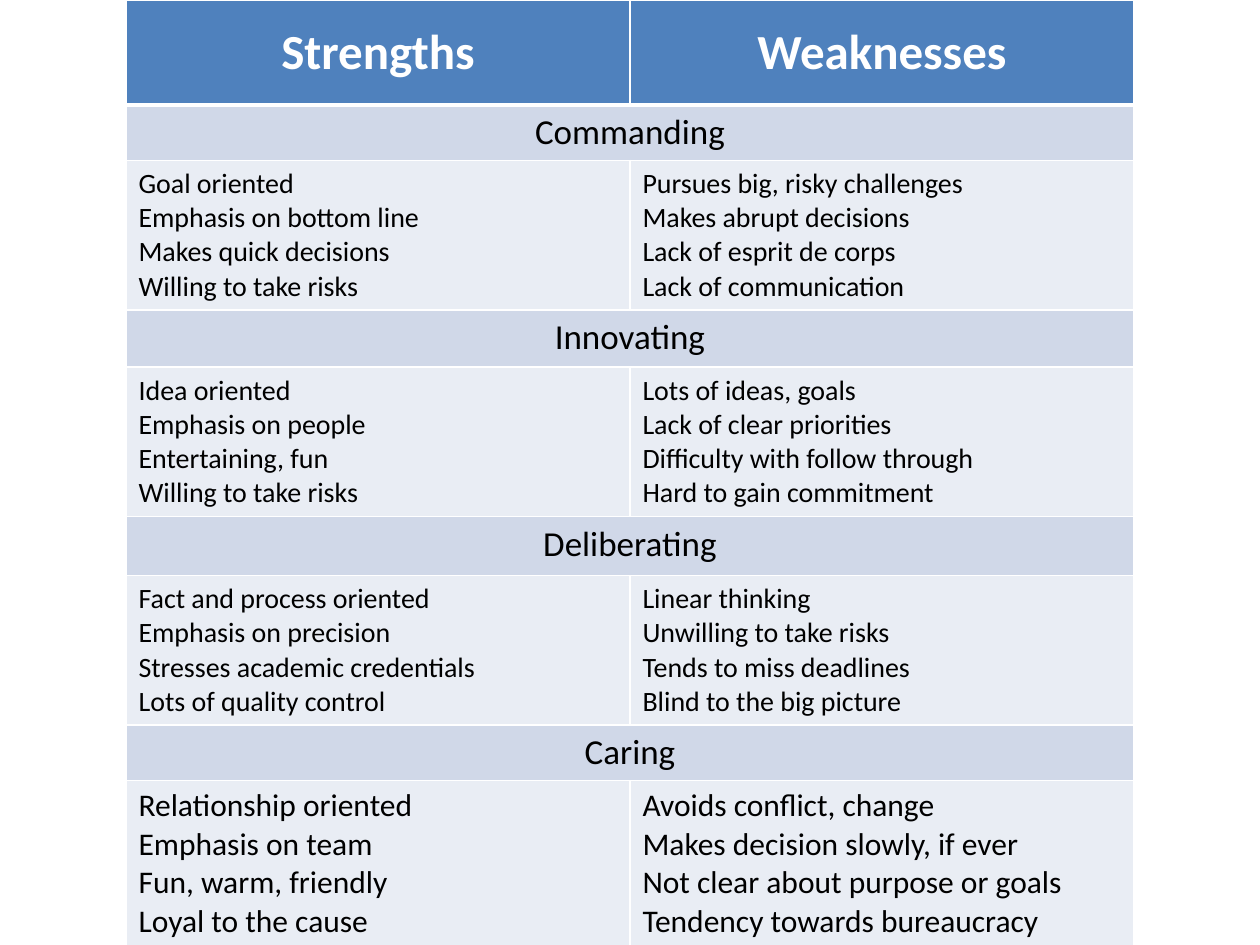
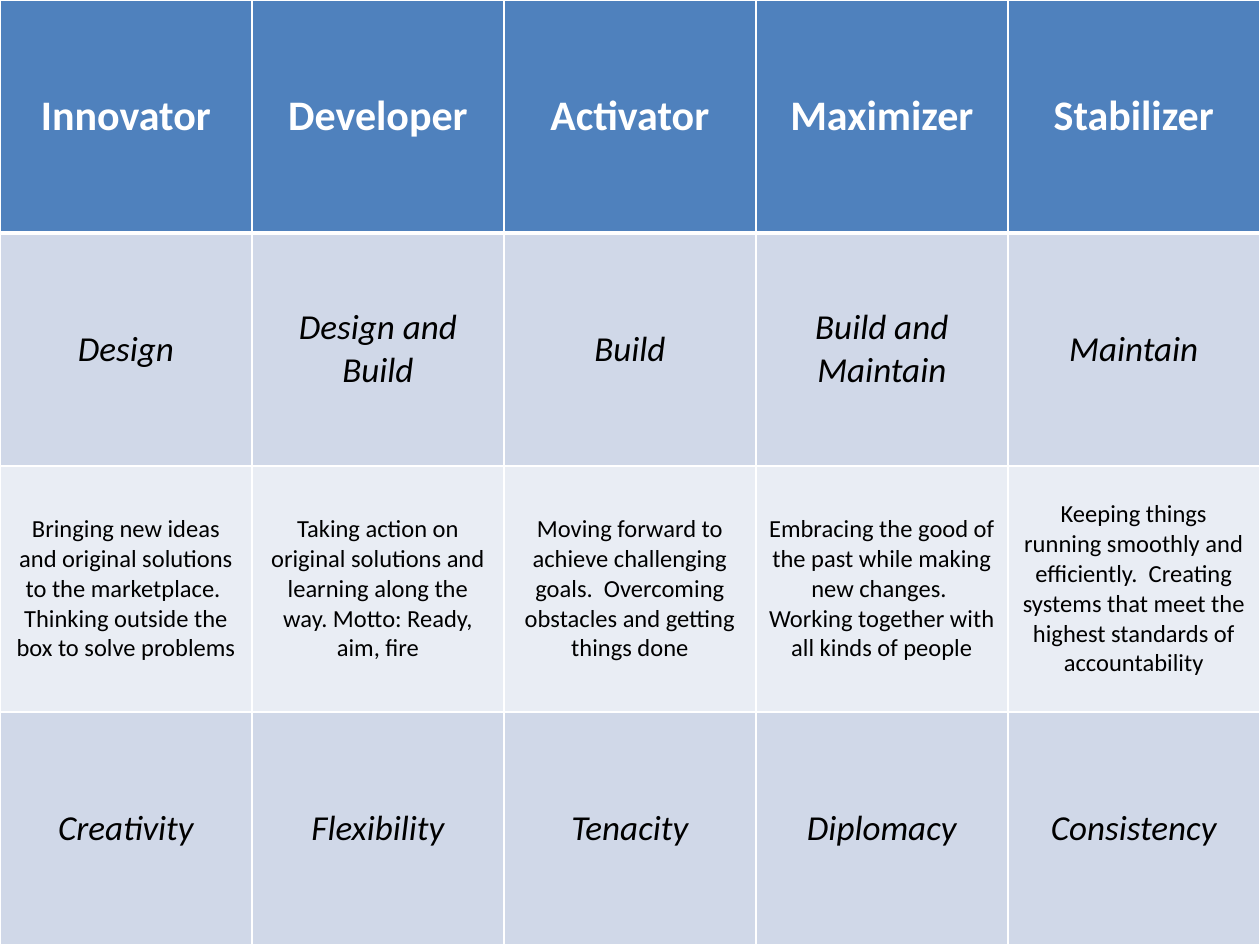
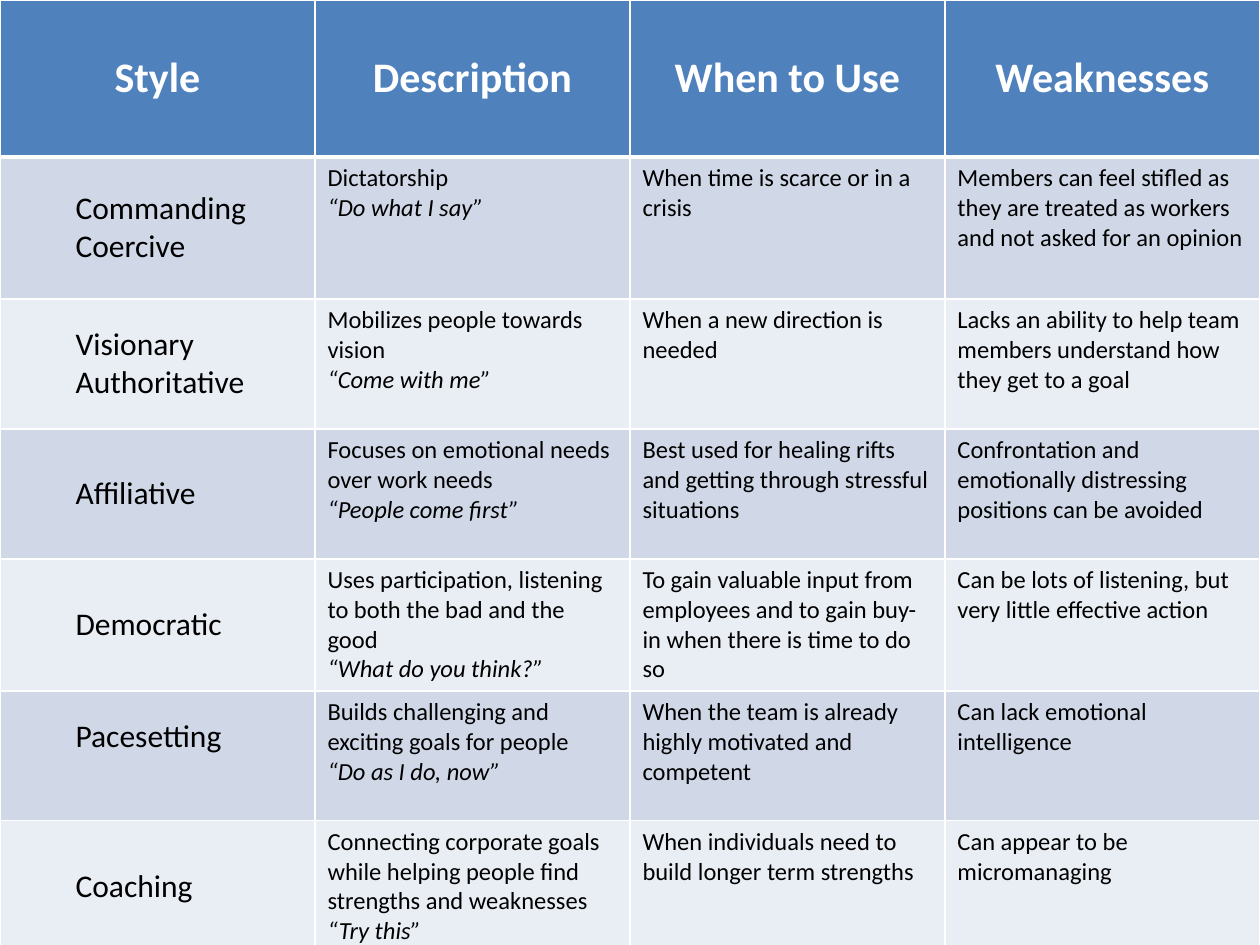
from dataclasses import dataclass, replace

from lxml import etree
from pptx import Presentation
from pptx.dml.color import RGBColor
from pptx.enum.text import MSO_ANCHOR, PP_ALIGN
from pptx.oxml.ns import qn
from pptx.util import Pt

EMU_PER_PX = 914400 // 126
SLIDE_W, SLIDE_H = 1260, 945

WHITE = RGBColor(0xFF, 0xFF, 0xFF)
BLACK = RGBColor(0x00, 0x00, 0x00)
HEADER_BLUE = RGBColor(0x4F, 0x81, 0xBD)
BAND_DARK = RGBColor(0xD0, 0xD8, 0xE8)
BAND_LIGHT = RGBColor(0xE9, 0xED, 0xF4)
FONT = "Calibri"


def px(length):
    """Turn pixels into EMU."""
    return length * EMU_PER_PX


@dataclass(frozen=True)
class CellStyle:
    """Text format of a table cell."""
    size: int
    color: RGBColor = BLACK
    bold: bool = False
    italic: bool = False
    centred: bool = False
    middle: bool = False
    indent: int = 0
    last_italic: bool = False
    lift: int = 0


BODY = CellStyle(14)
QUOTED = replace(BODY, last_italic=True)
CENTRED_BODY = replace(BODY, centred=True, middle=True)
KEYWORD = replace(CENTRED_BODY, size=20, italic=True)
SECTION = CellStyle(20, centred=True)
STYLE_NAME = CellStyle(18, middle=True, indent=63)


class Deck:
    """Holds the presentation, its current slide and the table look."""

    def __init__(self):
        """Start an empty deck of the right size."""
        self.prs = Presentation()
        self.prs.slide_width, self.prs.slide_height = px(SLIDE_W), px(SLIDE_H)
        self.slide = None

    def new_slide(self):
        """Add a slide without a title."""
        self.slide = self.prs.slides.add_slide(self.prs.slide_layouts[6])

    def table(self, left, width, height, columns, rows):
        """Add a table of equal columns and the given row heights."""
        frame = self.slide.shapes.add_table(
            len(rows), columns, px(left), 0, px(width), px(height))
        for column in frame.table.columns:
            column.width = px(width // columns)
        for row, row_height in zip(frame.table.rows, rows):
            row.height = px(row_height)
        frame.height = px(height)
        return frame.table

    def borders(self, cell, **widths):
        """Draw white cell borders; sides are L, R, T, B in points."""
        properties = cell._tc.get_or_add_tcPr()
        for side, points in widths.items():
            line = etree.SubElement(properties, qn("a:ln" + side), w=str(Pt(points)))
            fill = etree.SubElement(line, qn("a:solidFill"))
            etree.SubElement(fill, qn("a:srgbClr"), val=str(WHITE))

    def cell(self, cell, text, style, fill):
        """Fill a body cell; each line of text is a paragraph."""
        self.borders(cell, L=1, R=1, B=1)
        self.put_text(cell, text, style, fill)

    def header(self, table, titles, size):
        """Fill the first row with bold white titles."""
        style = CellStyle(size, WHITE, bold=True, centred=True, middle=True)
        for cell, title in zip(table.rows[0].cells, titles):
            self.borders(cell, L=1, R=1, T=1, B=3)
            self.put_text(cell, title, style, HEADER_BLUE)

    def section(self, table, row, title, style):
        """Merge a two-column row into one section heading."""
        first, second = table.rows[row].cells
        first.merge(second)
        self.cell(first, title, style, BAND_DARK)
        self.borders(second, L=1, R=1, B=1)

    def put_text(self, cell, text, style, fill):
        """Set the fill, anchor and formatted text of a cell."""
        cell.fill.solid()
        cell.fill.fore_color.rgb = fill
        cell.vertical_anchor = MSO_ANCHOR.MIDDLE if style.middle else MSO_ANCHOR.TOP
        if style.lift:
            cell.margin_bottom = px(style.lift)
        cell.text_frame.text = text
        paragraphs = cell.text_frame.paragraphs
        for number, paragraph in enumerate(paragraphs, 1):
            paragraph.alignment = PP_ALIGN.CENTER if style.centred else PP_ALIGN.LEFT
            if style.indent:
                paragraph.level = 1
                properties = paragraph._p.get_or_add_pPr()
                properties.set("marL", str(px(style.indent)))
                properties.set("indent", "0")
            is_quote = style.last_italic and number == len(paragraphs)
            for run in paragraph.runs:
                font = run.font
                font.name, font.size = FONT, Pt(style.size)
                font.bold, font.italic = style.bold, style.italic or is_quote
                font.color.rgb = style.color


def strengths_slide(deck):
    """Strengths and weaknesses of four leadership types."""
    # Title, heading height, text size, strengths, weaknesses
    types = [
        ("Commanding", 53, 16,
         "Goal oriented\nEmphasis on bottom line\nMakes quick decisions\n"
         "Willing to take risks",
         "Pursues big, risky challenges\nMakes abrupt decisions\n"
         "Lack of esprit de corps\nLack of communication"),
        ("Innovating", 57, 16,
         "Idea oriented\nEmphasis on people\nEntertaining, fun\n"
         "Willing to take risks",
         "Lots of ideas, goals\nLack of clear priorities\n"
         "Difficulty with follow through\nHard to gain commitment"),
        ("Deliberating", 59, 16,
         "Fact and process oriented\nEmphasis on precision\n"
         "Stresses academic credentials\nLots of quality control",
         "Linear thinking\nUnwilling to take risks\nTends to miss deadlines\n"
         "Blind to the big picture"),
        ("Caring", 50, 18,
         "Relationship oriented\nEmphasis on team\nFun, warm, friendly\n"
         "Loyal to the cause",
         "Avoids conflict, change\nMakes decision slowly, if ever\n"
         "Not clear about purpose or goals\nTendency towards bureaucracy"),
    ]
    deck.new_slide()
    heights = [105] + [h for entry in types for h in (entry[1], 134)]
    table = deck.table(126, 1008, 935, 2, heights)
    deck.header(table, ["Strengths", "Weaknesses"], 28)
    for index, (title, _, size, *lists) in enumerate(types):
        row = 1 + 2 * index
        deck.section(table, row, title, replace(SECTION, middle=index == 0))
        for cell, text in zip(table.rows[row + 1].cells, lists):
            deck.cell(cell, text, CellStyle(size), BAND_LIGHT)


def roles_slide(deck):
    """Five roles with their task, description and virtue."""
    roles = [
        ("Innovator", "Design",
         "Bringing new ideas and original solutions to the marketplace.  "
         "Thinking outside the box to solve problems", "Creativity"),
        ("Developer", "Design and Build",
         "Taking action on original solutions and learning along the way. "
         "Motto: Ready, aim, fire", "Flexibility"),
        ("Activator", "Build",
         "Moving forward to achieve challenging goals.  "
         "Overcoming obstacles and getting things done", "Tenacity"),
        ("Maximizer", "Build and Maintain",
         "Embracing the good of the past while making new changes.  "
         "Working together with all kinds of people", "Diplomacy"),
        ("Stabilizer", "Maintain",
         "Keeping things running smoothly and efficiently.  Creating systems "
         "that meet the highest standards of accountability", "Consistency"),
    ]
    deck.new_slide()
    table = deck.table(0, SLIDE_W, SLIDE_H, len(roles), [233, 233, 246, 233])
    deck.header(table, [role[0] for role in roles], 24)
    looks = [(KEYWORD, BAND_DARK), (CENTRED_BODY, BAND_LIGHT), (KEYWORD, BAND_DARK)]
    for column, (_, *texts) in enumerate(roles):
        for row, (text, look) in enumerate(zip(texts, looks), 1):
            deck.cell(table.cell(row, column), text, *look)


def styles_slide(deck):
    """Six leadership styles and when to use them."""
    styles = [
        ("Commanding\nCoercive", "Dictatorship\n“Do what I say”",
         "When time is scarce or in a crisis",
         "Members can feel stifled as they are treated as workers "
         "and not asked for an opinion"),
        ("Visionary\nAuthoritative",
         "Mobilizes people towards vision\n“Come with me”",
         "When a new direction is needed",
         "Lacks an ability to help team members understand "
         "how they get to a goal"),
        ("Affiliative",
         "Focuses on emotional needs over work needs\n“People come first”",
         "Best used for healing rifts and getting through stressful situations",
         "Confrontation and emotionally distressing positions can be avoided"),
        ("Democratic",
         "Uses participation, listening to both the bad and the good\n"
         "“What do you think?”",
         "To gain valuable input from employees and to gain buy-in "
         "when there is time to do so",
         "Can be lots of listening, but very little effective action"),
        ("Pacesetting",
         "Builds challenging and exciting goals for people\n“Do as I do, now”",
         "When the team is already highly motivated and competent",
         "Can lack emotional intelligence"),
        ("Coaching",
         "Connecting corporate goals while helping people find strengths "
         "and weaknesses\n“Try this”",
         "When individuals need to build longer term strengths",
         "Can appear to be micromanaging"),
    ]
    deck.new_slide()
    table = deck.table(0, SLIDE_W, 947, 4, [157, 142] + [130] * 5)
    deck.header(table, ["Style", "Description", "When to Use", "Weaknesses"], 24)
    for row, texts in enumerate(styles, 1):
        name = replace(STYLE_NAME, lift=44 if texts[0] == "Pacesetting" else 0)
        fill = BAND_DARK if row % 2 else BAND_LIGHT
        for cell, text, style in zip(
                table.rows[row].cells, texts, [name, QUOTED, BODY, BODY]):
            deck.cell(cell, text, style, fill)


deck = Deck()
strengths_slide(deck)
roles_slide(deck)
styles_slide(deck)
deck.prs.save("out.pptx")
